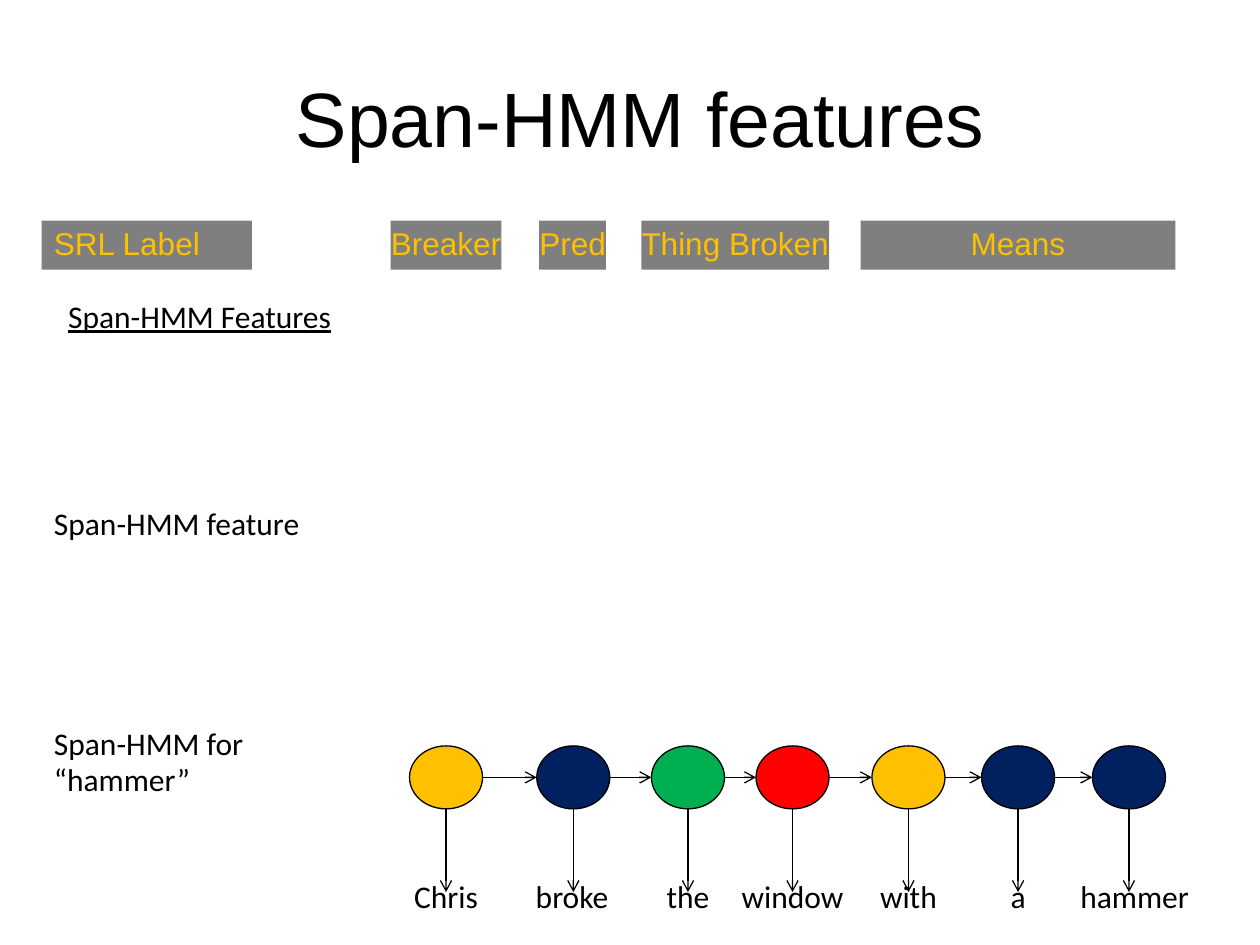
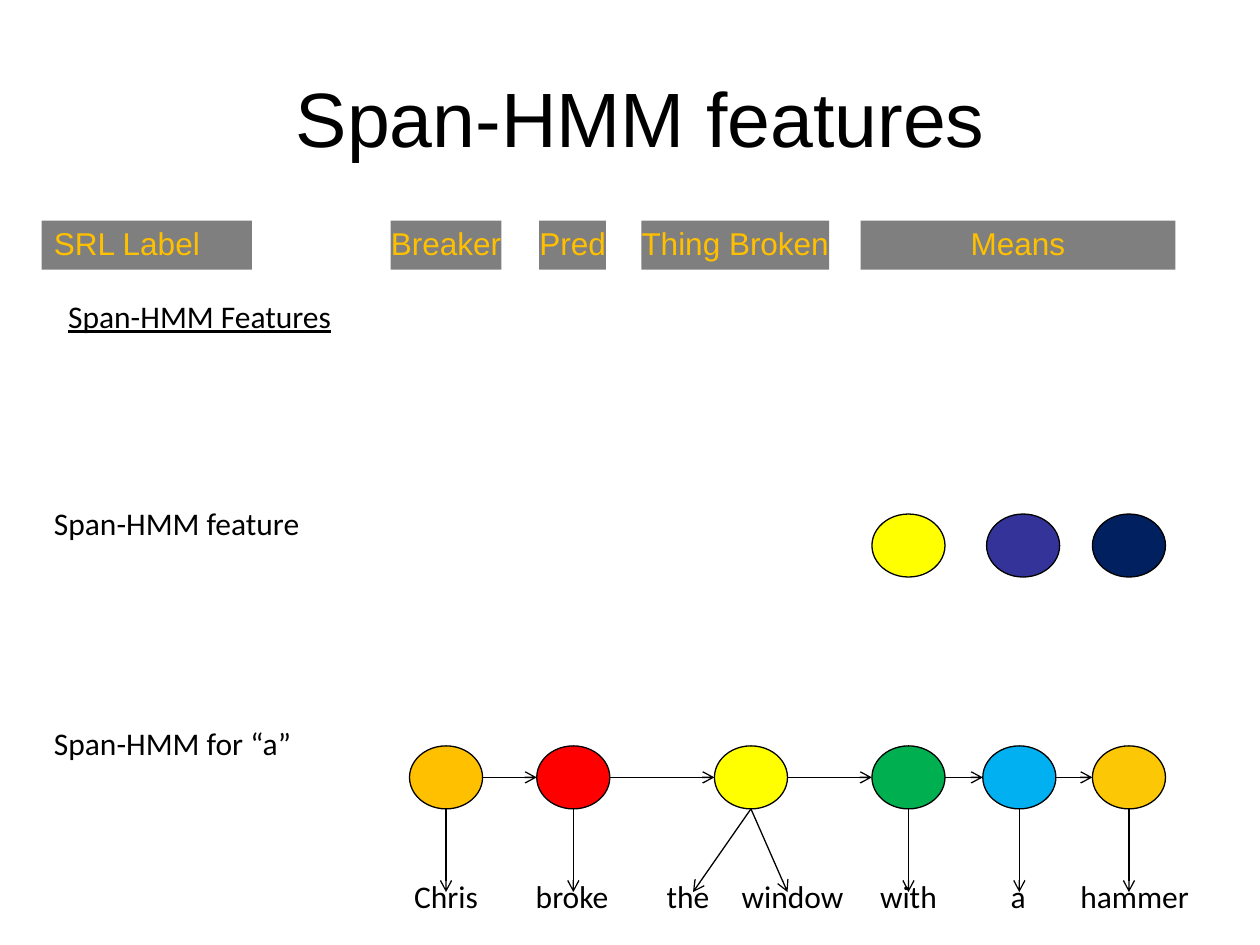
from dataclasses import dataclass
from itertools import pairwise
from pptx import Presentation
from pptx.dml.color import RGBColor as RGB
from pptx.enum.shapes import MSO_CONNECTOR as LINK, MSO_SHAPE as SHAPE
from pptx.enum.text import MSO_ANCHOR as ANCHOR, MSO_AUTO_SIZE as FIT, PP_ALIGN as ALIGN
from pptx.oxml.ns import qn
from pptx.util import Inches, Pt
from lxml.etree import SubElement


@dataclass(frozen=True)
class Theme:
    head: str = "Arial"
    body: str = "Calibri"
    big: int = 44
    small: int = 18
    rule: float = 0.75
    ink: str = "000000"
    band: str = "7F7F7F"
    gold: str = "FFC000"
    amber: str = "FCC704"
    navy: str = "002060"
    green: str = "00B050"
    red: str = "FF0000"
    yellow: str = "FFFF00"
    sky: str = "00B0F0"
    indigo: str = "333399"


T = Theme()
NODE_W, NODE_H = 0.58, 0.5
DROP = 0.66  # length of the arrows down to the words
ROW_H = 0.39
PAD = 0.1

# Left edge, width and text of each word, tag and label
WORDS = [(3, 1.08, "Chris"), (4, 1.08, "broke"), (4.92, 1.08, "the"),
         (5.58, 1.42, "window"), (6.67, 1.08, "with"), (7.54, 1.08, "a"),
         (8.17, 1.67, "hammer")]
TAGS = [(3.1, 0.88, "Breaker"), (4.28, 0.53, "Pred"),
        (5.09, 1.49, "Thing Broken"), (6.83, 2.5, "Means")]

# Left edge and colour of each node, then where its arrows end if not below it
HAMMER = [(3.25, T.gold), (4.26, T.navy), (5.17, T.green), (6, T.red),
          (6.92, T.gold), (7.79, T.navy), (8.67, T.navy)]
ARTICLE = [(3.25, T.gold), (4.26, T.red), (5.67, T.yellow, 5.5, 6.25),
           (6.92, T.green), (7.8, T.sky), (8.67, T.amber)]
STATES = [(6.92, T.yellow), (7.83, T.indigo), (8.67, T.navy)]


def assign(obj, **vals):
    for key, val in vals.items():
        setattr(obj, key, val)


def style(par, text, face, size, color, align, under=None):
    par.alignment = align
    run = par.add_run()
    run.text = text
    assign(run.font, name=face, size=Pt(size), underline=under)
    run.font.color.rgb = RGB.from_string(color)


def label(slide, box, text, face=T.body, color=T.ink, align=ALIGN.LEFT,
          pad=PAD, wrap=True, fill=None, under=None):
    area = slide.shapes.add_textbox(*map(Inches, box))
    assign(area.text_frame, word_wrap=wrap, auto_size=FIT.SHAPE_TO_FIT_TEXT,
           margin_left=Inches(pad), margin_right=Inches(pad))
    if fill:
        area.fill.solid()
        area.fill.fore_color.rgb = RGB.from_string(fill)
    par = area.text_frame.paragraphs[0]
    par.line_spacing = 0.95
    style(par, text, face, T.small, color, align, under)


def outline(line):
    line.width = Pt(T.rule)
    line.fill.solid()
    line.fill.fore_color.rgb = RGB.from_string(T.ink)


def arrow(slide, *ends):
    link = slide.shapes.add_connector(LINK.STRAIGHT, *map(Inches, ends))
    outline(link.line)
    SubElement(link.line._get_or_add_ln(), qn("a:tailEnd"), type="arrow")
    SubElement(link._element.spPr, qn("a:effectLst"))


def node(slide, left, top, color):
    oval = slide.shapes.add_shape(
        SHAPE.OVAL, *map(Inches, (left, top, NODE_W, NODE_H)))
    oval.shadow.inherit = False
    oval.fill.solid()
    oval.fill.fore_color.rgb = RGB.from_string(color)
    outline(oval.line)


def title(slide, box):
    head = slide.shapes.title
    assign(head, **dict(zip(("left", "top", "width", "height"), map(Inches, box))))
    head.text_frame.vertical_anchor = ANCHOR.MIDDLE
    style(head.text_frame.paragraphs[0], " Span-HMM features",
          T.head, T.big, T.ink, ALIGN.CENTER)


def tags(slide, top):
    look = dict(face=T.head, color=T.gold, fill=T.band)
    label(slide, (0.33, top, 1.67, ROW_H), "SRL Label", **look)
    for left, width, text in TAGS:
        label(slide, (left, top, width, ROW_H), text, align=ALIGN.CENTER,
              pad=0, wrap=text == "Means", **look)


def words(slide, top):
    for left, width, text in WORDS:
        label(slide, (left, top, width, ROW_H), text, align=ALIGN.CENTER)


def chain(slide, top, nodes):
    mid, base = top + NODE_H / 2, top + NODE_H
    for left, color, *ends in nodes:
        node(slide, left, top, color)
        hub = left + NODE_W / 2
        for end in ends or [hub]:
            arrow(slide, hub, base, end, base + DROP)
    for (left, *_), (right, *_) in pairwise(nodes):
        arrow(slide, left + NODE_W, mid, right, mid)


def build(deck, target, nodes, states=()):
    slide = deck.slides.add_slide(deck.slide_layouts[5])
    title(slide, (0.5, 0.3, 9, 1.25))
    tags(slide, 1.75)
    # Row names
    label(slide, (0, 2.33, 3.17, ROW_H), "Span-HMM Features",
          align=ALIGN.CENTER, pad=0, under=True)
    label(slide, (0.33, 3.97, 2.17, ROW_H), "Span-HMM feature")
    label(slide, (0.33, 5.72, 2.17, ROW_H), f"Span-HMM for “{target}”")
    # Feature states and the model over the sentence
    for left, color in states:
        node(slide, left, 4.08, color)
    words(slide, 6.93)
    chain(slide, 5.92, nodes)


def main():
    deck = Presentation()
    assign(deck, slide_width=Inches(10), slide_height=Inches(7.5))
    build(deck, "hammer", HAMMER)
    build(deck, "a", ARTICLE, STATES)
    deck.save("out.pptx")


if __name__ == "__main__":
    main()
